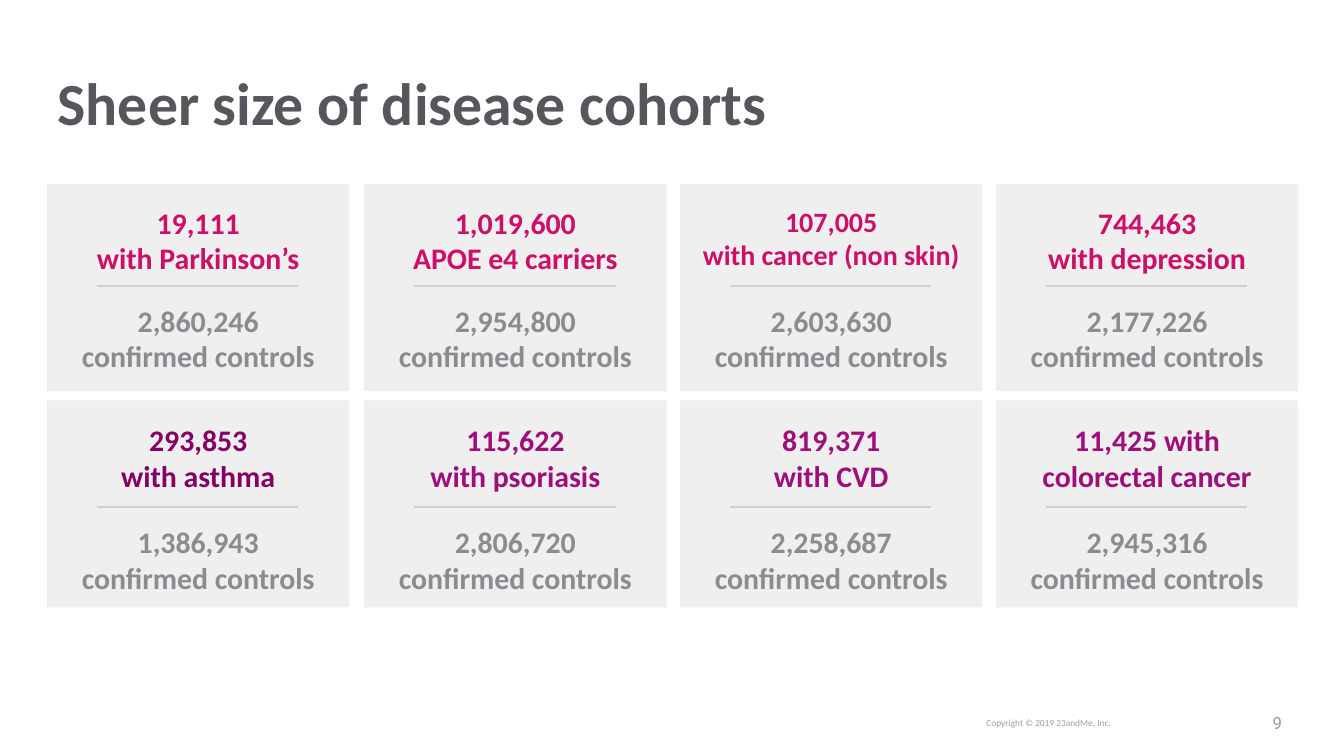
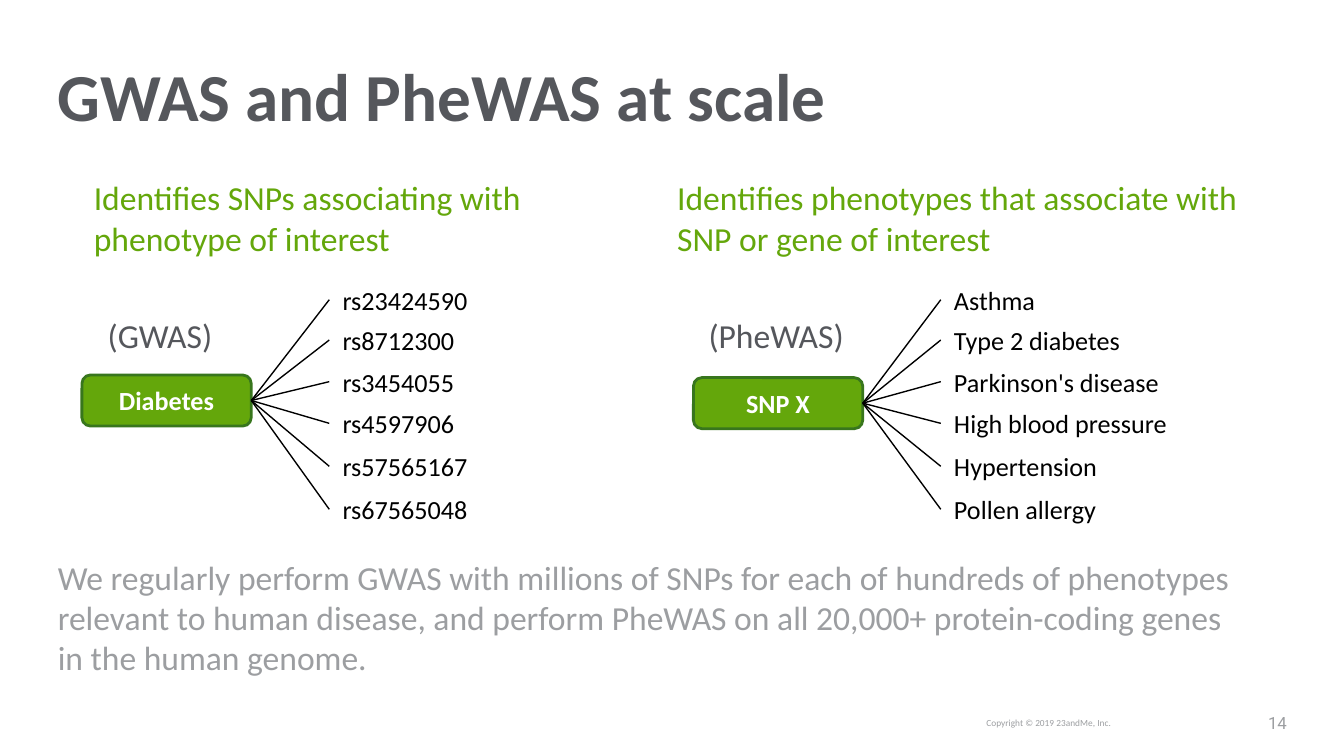
"""Build two slides on disease cohorts and association studies."""
from dataclasses import dataclass

from lxml.etree import SubElement
from pptx import Presentation
from pptx.dml.color import RGBColor as Rgb
from pptx.enum.shapes import MSO_CONNECTOR as Conn, MSO_SHAPE as Form
from pptx.enum.text import MSO_ANCHOR as Anchor, MSO_AUTO_SIZE as Fit, PP_ALIGN as Align
from pptx.oxml.ns import qn
from pptx.util import Inches, Pt

HUES = {
    "ink": "55575C", "soft": "9C9EA1", "gray": "8A8C90", "rule": "CFD0D1",
    "card": "EFEFEF", "pink": "CE0F69", "plum": "9F0F7B", "wine": "830065",
    "green": "64A70B", "edge": "38761D", "black": "000000", "white": "FFFFFF",
}
LEFTS = (0.35, 2.71, 5.06, 7.41)
WIDE, TALL = 2.25, 1.54
FAN_TOPS = (2.04, 2.34, 2.65, 2.96, 3.28, 3.6)
TAG_TALL = 0.38
CTRL = "confirmed controls"


@dataclass(frozen=True)
class Style:
    size: float
    hue: str
    bold: bool = False
    align: Align = Align.LEFT
    font: str = "Calibri"


@dataclass(frozen=True)
class Cohort:
    cases: tuple[str, ...]
    rest: tuple[str, ...]
    hue: str
    size: float = 16


@dataclass(frozen=True)
class Band:
    top: float
    head: float
    rule: float
    foot: float
    cards: tuple[Cohort, ...]


@dataclass(frozen=True)
class Fan:
    left: float
    top: float
    root: str
    width: float
    tags: tuple[str, ...]


@dataclass(frozen=True)
class Note:
    text: str
    box: tuple[float, float, float, float]
    style: Style


BANDS = (
    Band(1.37, 1.47, 2.13, 2.2, (
        Cohort(("19,111\nwith Parkinson’s",), (f"2,860,246\n{CTRL}",), "pink"),
        Cohort(("1,019,600\nAPOE e4 carriers",), (f"2,954,800\n{CTRL}",), "pink"),
        Cohort(("107,005", "with cancer (non skin)"),
               (f"2,603,630\n{CTRL}",), "pink", 15),
        Cohort(("744,463\nwith depression",), ("2,177,226", CTRL), "pink"),
    )),
    Band(2.98, 3.09, 3.77, 3.85, (
        Cohort(("293,853", "with asthma"), ("1,386,943", CTRL), "wine"),
        Cohort(("115,622", "with psoriasis"), ("2,806,720", CTRL), "plum"),
        Cohort(("819,371\nwith CVD",), ("2,258,687", CTRL), "plum"),
        Cohort(("11,425 with\ncolorectal cancer",), ("2,945,316", CTRL), "plum"),
    )),
)
FANS = (
    Fan(0.61, 2.79, "Diabetes", 1.38, (
        "rs23424590", "rs8712300", "rs3454055",
        "rs4597906", "rs57565167", "rs67565048")),
    Fan(5.16, 2.81, "SNP X", 1.97, (
        "Asthma", "Type 2 diabetes", "Parkinson's disease",
        "High blood pressure", "Hypertension", "Pollen allergy")),
)
LEAD = Style(18, "green")
KIND = Style(18, "ink", align=Align.CENTER)
NOTES = (
    Note("Identifies SNPs associating with phenotype of interest",
         (0.6, 1.22, 3.9, 0.54), LEAD),
    Note("Identifies phenotypes that associate with SNP or gene of interest",
         (4.94, 1.22, 4.65, 0.54), LEAD),
    Note("(GWAS)", (0.6, 2.24, 1.18, 0.43), KIND),
    Note("(PheWAS)", (5.07, 2.24, 1.41, 0.43), KIND),
)
SUMMARY = ("We regularly perform GWAS with millions of SNPs for each of hundreds of "
           "phenotypes relevant to human disease, and perform PheWAS on all 20,000+ "
           "protein-coding genes in the human genome.")


def color(hue: str) -> Rgb:
    """Return the named colour."""
    return Rgb.from_string(HUES[hue])


def write(shape, lines: tuple[str, ...], style: Style, pad: tuple[float, float],
          anchor: Anchor = Anchor.TOP, pitch: float = 1.0) -> None:
    """Fill a shape with a paragraph per item and a line break per newline."""
    frame = shape.text_frame
    frame.word_wrap, frame.auto_size = True, Fit.NONE
    frame.vertical_anchor = anchor
    frame.margin_left = frame.margin_right = Inches(pad[0])
    frame.margin_top = frame.margin_bottom = Inches(pad[1])
    for rank, line in enumerate(lines):
        para = frame.add_paragraph() if rank else frame.paragraphs[0]
        para.alignment, para.line_spacing = style.align, pitch
        para.space_before = Pt(0)
        for turn, text in enumerate(line.split("\n")):
            if turn:
                para.add_line_break()
            run = para.add_run()
            run.text = text
            font = run.font
            font.name, font.size, font.bold = style.font, Pt(style.size), style.bold
            font.color.rgb = color(style.hue)


def label(shapes, lines: tuple[str, ...], box: tuple[float, float, float, float],
          style: Style, pad: tuple[float, float] = (0.1, 0.1),
          anchor: Anchor = Anchor.TOP) -> None:
    """Add a text box."""
    write(shapes.add_textbox(*map(Inches, box)), lines, style, pad, anchor)


def block(shapes, form: Form, box: tuple[float, float, float, float],
          fill: str, edge: str | None = None):
    """Add a flat filled shape, outlined if an edge colour is given."""
    shape = shapes.add_shape(form, *map(Inches, box))
    shape.shadow.inherit = False
    shape.fill.solid()
    shape.fill.fore_color.rgb = color(fill)
    if edge:
        shape.line.color.rgb = color(edge)
        shape.line.width = Pt(1.5)
    else:
        shape.line.fill.background()
    return shape


def stroke(shapes, ends: tuple[float, float, float, float],
           hue: str, width: float) -> None:
    """Draw a straight line between two points."""
    line = shapes.add_connector(Conn.STRAIGHT, *map(Inches, ends))
    line.line.color.rgb = color(hue)
    line.line.width = Pt(width)
    SubElement(line._element.spPr, qn("a:effectLst"))


def place(holder, box: tuple[float, float, float, float], text: str,
          style: Style, pitch: float = 1.0) -> None:
    """Move a placeholder and fill it."""
    holder.left, holder.top, holder.width, holder.height = map(Inches, box)
    write(holder, (text,), style, (0.07, 0.07), pitch=pitch)


def start(deck, layout: int, title: str, box: tuple[float, float, float, float],
          size: float, page: str):
    """Add a slide with its title and footer."""
    slide = deck.slides.add_slide(deck.slide_layouts[layout])
    place(slide.shapes.title, box, title, Style(size, "ink", True), 0.9)
    pad = (0.04, 0.04)
    label(slide.shapes, (page,), (9.39, 5.26, 0.23, 0.23),
          Style(9, "soft", align=Align.CENTER, font="Roboto"), pad, Anchor.MIDDLE)
    label(slide.shapes, ("Copyright © 2019 23andMe, Inc.",), (6.54, 5.3, 1.77, 0.16),
          Style(5, "soft", align=Align.RIGHT), pad, Anchor.MIDDLE)
    return slide


def draw_card(slide, left: float, band: Band, item: Cohort) -> None:
    """Draw one cohort card."""
    shapes = slide.shapes.add_group_shape().shapes
    block(shapes, Form.RECTANGLE, (left, band.top, WIDE, TALL), "card")
    pad = (0.1, 0.05)
    label(shapes, item.cases, (left, band.head, WIDE, 0.58),
          Style(item.size, item.hue, True, Align.CENTER), pad)
    label(shapes, item.rest, (left, band.foot, WIDE, 0.58),
          Style(16, "gray", True, Align.CENTER), pad)
    stroke(shapes, (left + 0.37, band.rule, left + 1.87, band.rule), "rule", 1)


def draw_fan(slide, fan: Fan) -> None:
    """Draw a root box with lines to its tags."""
    shapes = slide.shapes.add_group_shape().shapes
    root = block(shapes, Form.ROUNDED_RECTANGLE,
                 (fan.left, fan.top, 1.26, TAG_TALL), "green", "edge")
    write(root, (fan.root,), Style(14, "white", True, Align.CENTER),
          (0.1, 0.1), Anchor.MIDDLE)
    hub, tip = fan.left + 1.26, fan.left + 1.84
    half = TAG_TALL / 2
    for top, tag in zip(FAN_TOPS, fan.tags):
        label(shapes, (tag,), (tip, top, fan.width, TAG_TALL), Style(14, "black"),
              anchor=Anchor.MIDDLE)
        stroke(shapes, (hub, fan.top + half, tip, top + half), "black", 0.75)


def main() -> None:
    """Build and save the deck."""
    deck = Presentation()
    deck.slide_width = Inches(10)
    deck.slide_height = Inches(10 * 9 / 16)

    slide = start(deck, 5, "Sheer size of disease cohorts",
                  (0.36, 0.48, 9.11, 0.69), 32, "9")
    for band in BANDS:
        for left, item in zip(LEFTS, band.cards):
            draw_card(slide, left, band, item)

    slide = start(deck, 0, "GWAS and PheWAS at scale",
                  (0.36, 0.4, 7.68, 0.69), 36, "14")
    place(slide.placeholders[1], (0.36, 4.07, 9.02, 0.69), SUMMARY, Style(18, "soft"))
    for note in NOTES:
        label(slide.shapes, (note.text,), note.box, note.style)
    for fan in FANS:
        draw_fan(slide, fan)

    deck.save("out.pptx")


if __name__ == "__main__":
    main()
